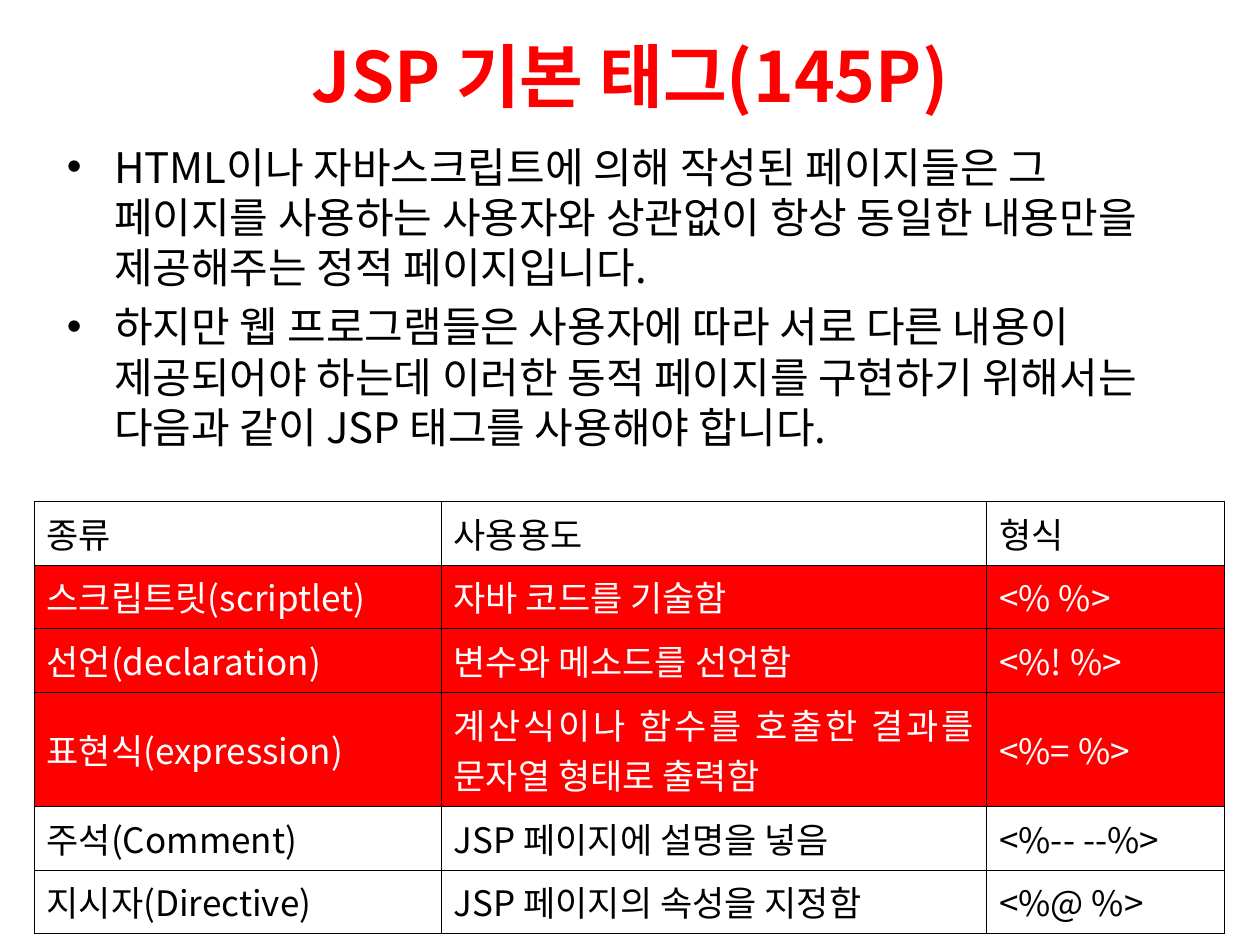
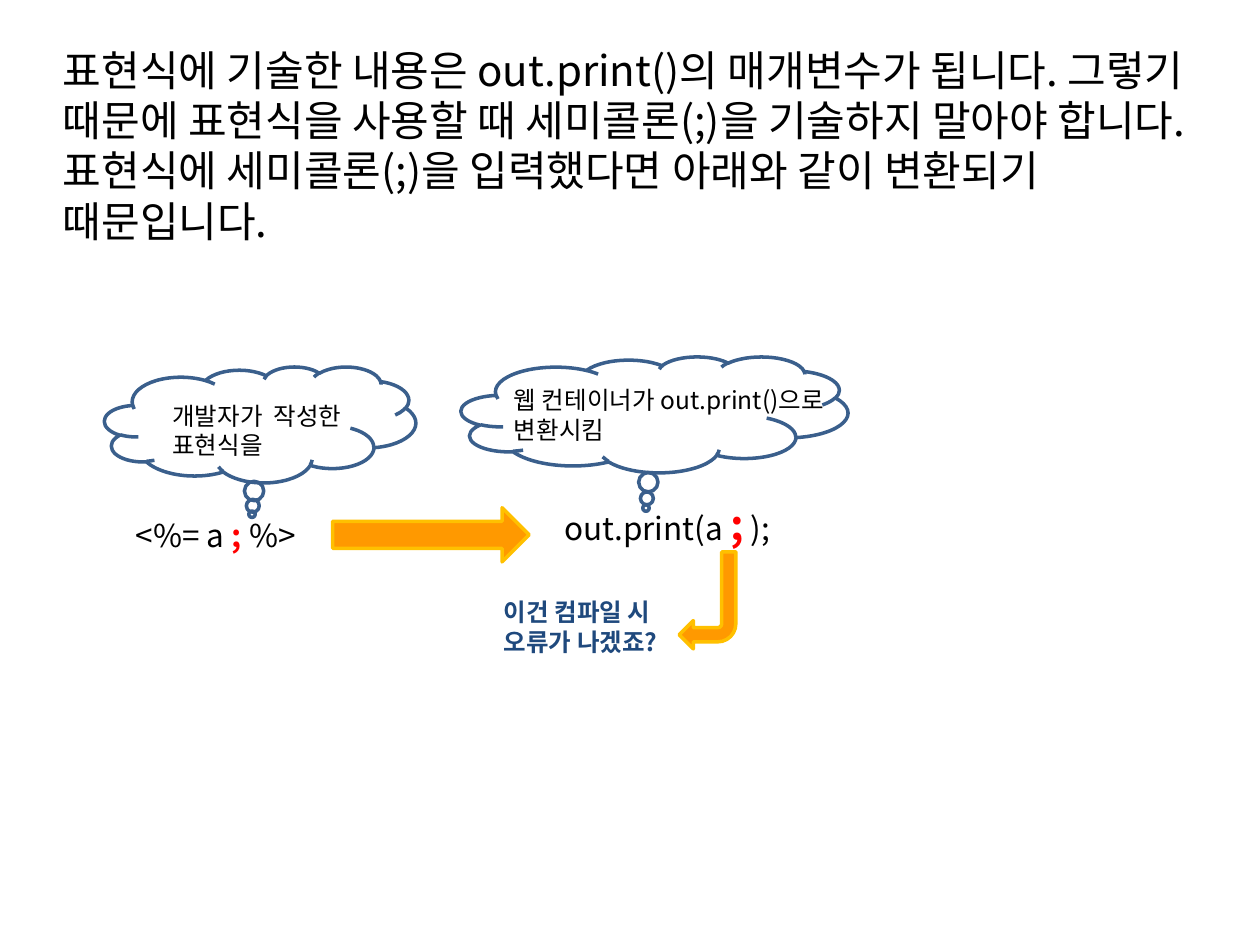
from dataclasses import dataclass

import lxml.etree
import pptx
import pptx.dml.color
import pptx.enum.shapes
import pptx.enum.text
import pptx.oxml.ns
import pptx.util

Inches = pptx.util.Inches
Pt = pptx.util.Pt
Shapes = pptx.enum.shapes.MSO_SHAPE
Anchor = pptx.enum.text.MSO_ANCHOR
Align = pptx.enum.text.PP_ALIGN

FONT = "Noto Sans CJK KR"
BLACK = "000000"
WHITE = "FFFFFF"
RED = "FF0000"
NAVY = "1F497D"
CLOUD_BLUE = "3A5F8C"
ORANGE = "FF9900"
AMBER = "FFC000"


@dataclass(frozen=True)
class Box:
    left: float
    top: float
    width: float
    height: float

    def lengths(self) -> tuple:
        return tuple(Inches(value) for value in (self.left, self.top, self.width, self.height))


@dataclass(frozen=True)
class Piece:
    text: str
    size: float = 18
    color: str = BLACK
    bold: bool = False


@dataclass(frozen=True)
class Label:
    box: Box
    lines: tuple
    size: float = 14
    color: str = BLACK
    bold: bool = False
    wrap: bool = True


@dataclass(frozen=True)
class Figure:
    kind: Shapes
    box: Box
    line: str
    fill: str | None = None
    adjustments: tuple = ()
    rotation: float = 0


@dataclass(frozen=True)
class TagRow:
    cells: tuple
    height: float = 0.5
    highlighted: bool = False


def rgb(color: str) -> pptx.dml.color.RGBColor:
    return pptx.dml.color.RGBColor.from_string(color)


def style_font(font, size: float, color: str = BLACK, bold: bool = False) -> None:
    font.name = FONT
    font.size = Pt(size)
    font.bold = bold
    font.color.rgb = rgb(color)
    east_asian = lxml.etree.SubElement(font._element, pptx.oxml.ns.qn("a:ea"))
    east_asian.set("typeface", FONT)


def fill_placeholder(placeholder, box: Box, lines: tuple, size: float,
                     color: str = BLACK, bold: bool = False) -> None:
    placeholder.left, placeholder.top, placeholder.width, placeholder.height = box.lengths()
    placeholder.text_frame.text = "\n".join(lines)
    for paragraph in placeholder.text_frame.paragraphs:
        style_font(paragraph.font, size, color, bold)


def add_label(slide, label: Label) -> None:
    frame = slide.shapes.add_textbox(*label.box.lengths()).text_frame
    frame.word_wrap = label.wrap
    for index, line in enumerate(label.lines):
        paragraph = frame.add_paragraph() if index else frame.paragraphs[0]
        if isinstance(line, str):
            paragraph.text = line
            style_font(paragraph.font, label.size, label.color, label.bold)
            continue
        for piece in line:
            run = paragraph.add_run()
            run.text = piece.text
            style_font(run.font, piece.size, piece.color, piece.bold)


def add_figure(slide, figure: Figure) -> None:
    shape = slide.shapes.add_shape(figure.kind, *figure.box.lengths())
    shape.shadow.inherit = False
    shape.rotation = figure.rotation
    for index, value in enumerate(figure.adjustments):
        shape.adjustments[index] = value
    shape.line.color.rgb = rgb(figure.line)
    shape.line.width = Pt(2)
    if figure.fill:
        shape.fill.solid()
        shape.fill.fore_color.rgb = rgb(figure.fill)
    else:
        shape.fill.background()


def add_borders(cell) -> None:
    properties = cell._tc.get_or_add_tcPr()
    for side in ("a:lnL", "a:lnR", "a:lnT", "a:lnB"):
        line = lxml.etree.SubElement(properties, pptx.oxml.ns.qn(side), w=str(Pt(0.28)))
        fill = lxml.etree.SubElement(line, pptx.oxml.ns.qn("a:solidFill"))
        lxml.etree.SubElement(fill, pptx.oxml.ns.qn("a:srgbClr"), val=BLACK)


def add_tag_table(slide, left: float, top: float, widths: tuple, rows: tuple) -> None:
    box = Box(left, top, sum(widths), sum(row.height for row in rows))
    table = slide.shapes.add_table(len(rows), len(widths), *box.lengths()).table
    table.first_row = table.horz_banding = False
    for column, width in zip(table.columns, widths):
        column.width = Inches(width)
    for table_row, row in zip(table.rows, rows):
        table_row.height = Inches(row.height)
        for cell, text in zip(table_row.cells, row.cells):
            add_borders(cell)
            if row.highlighted:
                cell.fill.solid()
                cell.fill.fore_color.rgb = rgb(RED)
            else:
                cell.fill.background()
            cell.vertical_anchor = Anchor.MIDDLE
            cell.text = text
            paragraph = cell.text_frame.paragraphs[0]
            paragraph.alignment = Align.JUSTIFY
            style_font(paragraph.font, 20, WHITE if row.highlighted else BLACK)


TAG_ROWS = (
    TagRow(("종류", "사용용도", "형식")),
    TagRow(("스크립트릿(scriptlet)", "자바 코드를 기술함", "<% %>"), highlighted=True),
    TagRow(("선언(declaration)", "변수와 메소드를 선언함", "<%! %>"), highlighted=True),
    TagRow(("표현식(expression)", "계산식이나 함수를 호출한 결과를 문자열 형태로 출력함", "<%= %>"),
           height=0.91, highlighted=True),
    TagRow(("주석(Comment)", "JSP 페이지에 설명을 넣음", "<%-- --%>")),
    TagRow(("지시자(Directive)", "JSP 페이지의 속성을 지정함", "<%@ %>")),
)

TAG_POINTS = (
    "HTML이나 자바스크립트에 의해 작성된 페이지들은 그 페이지를 사용하는 사용자와 "
    "상관없이 항상 동일한 내용만을 제공해주는 정적 페이지입니다.",
    "하지만 웹 프로그램들은 사용자에 따라 서로 다른 내용이 제공되어야 하는데 "
    "이러한 동적 페이지를 구현하기 위해서는 다음과 같이 JSP 태그를 사용해야 합니다.",
)

FIGURES = (
    Figure(Shapes.CLOUD_CALLOUT, Box(3.66, 2.83, 3.07, 0.92), CLOUD_BLUE,
           adjustments=(-0.022, 0.807)),
    Figure(Shapes.CLOUD_CALLOUT, Box(0.83, 2.91, 2.47, 0.92), CLOUD_BLUE,
           adjustments=(-0.026, 0.773)),
    Figure(Shapes.RIGHT_ARROW, Box(2.64, 4.03, 1.56, 0.43), AMBER, ORANGE),
    Figure(Shapes.BENT_ARROW, Box(5.39, 4.38, 0.45, 0.77), AMBER, ORANGE,
           adjustments=(0.25, 0.25, 0.25, 0.32), rotation=180),
)

LABELS = (
    Label(Box(3.98, 3.01, 2.68, 0.57), ("웹 컨테이너가 out.print()으로 변환시킴",)),
    Label(Box(1.27, 3.13, 1.78, 0.57), ("개발자가  작성한", "표현식을"), wrap=False),
    Label(Box(0.98, 4.05, 1.61, 0.4),
          ((Piece("<%= a"), Piece(" ; ", color=RED, bold=True), Piece("%>")),), wrap=False),
    Label(Box(4.38, 3.91, 2.04, 0.5),
          ((Piece("out.print(a "), Piece(";", 24, RED, True),
            Piece(" ", color=RED, bold=True), Piece(");")),)),
    Label(Box(3.9, 4.69, 2.02, 0.57), ("이건 컴파일 시", "오류가 나겠죠?"),
          color=NAVY, bold=True),
    Label(Box(0.4, 0.3, 9.17, 1.72),
          ("표현식에 기술한 내용은 out.print()의 매개변수가 됩니다. 그렇기 때문에 "
           "표현식을 사용할 때 세미콜론(;)을 기술하지 말아야 합니다. 표현식에 "
           "세미콜론(;)을 입력했다면 아래와 같이 변환되기 때문입니다.",), size=24),
)


def build_tag_slide(presentation) -> None:
    slide = presentation.slides.add_slide(presentation.slide_layouts[1])
    title = slide.shapes.title
    fill_placeholder(title, Box(0.5, 0.3, 9, 1.25), ("JSP 기본 태그(145P)",), 39.6, RED, True)
    title.text_frame.vertical_anchor = Anchor.MIDDLE
    title.text_frame.margin_bottom = Inches(0.71)
    fill_placeholder(slide.placeholders[1], Box(0.43, 1.07, 9, 2.68), TAG_POINTS, 24)
    add_tag_table(slide, 0.27, 3.98, (3.23, 4.33, 1.89), TAG_ROWS)


def build_expression_slide(presentation) -> None:
    slide = presentation.slides.add_slide(presentation.slide_layouts[6])
    for figure in FIGURES:
        add_figure(slide, figure)
    for label in LABELS:
        add_label(slide, label)


def main() -> None:
    presentation = pptx.Presentation()
    presentation.slide_width = Inches(10)
    presentation.slide_height = Inches(7.5)
    build_tag_slide(presentation)
    build_expression_slide(presentation)
    presentation.save("out.pptx")


main()
